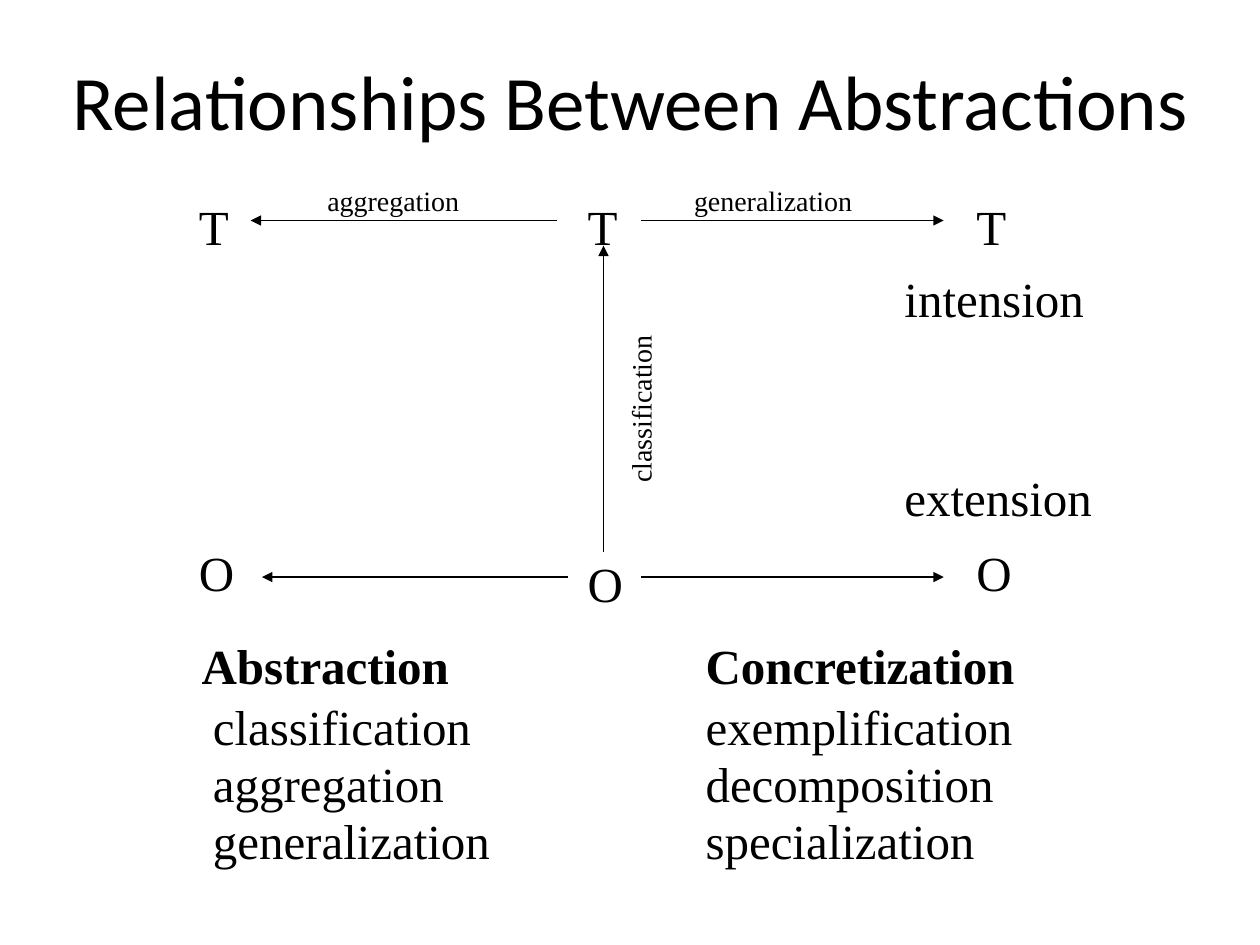
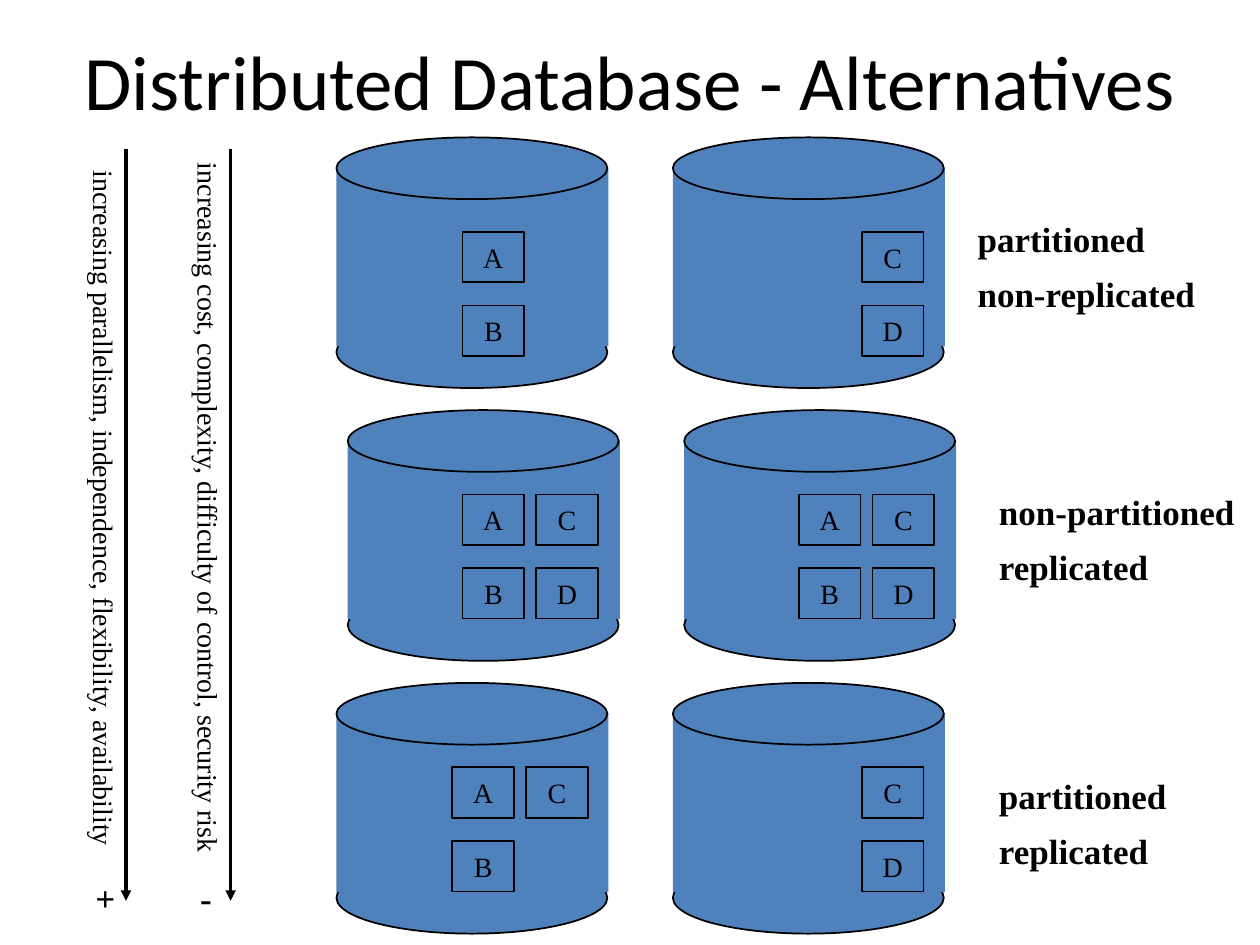
from dataclasses import dataclass
from lxml.etree import SubElement
from pptx import Presentation
from pptx.dml.color import RGBColor
from pptx.enum.shapes import MSO_CONNECTOR, MSO_SHAPE
from pptx.enum.text import MSO_ANCHOR, MSO_AUTO_SIZE, PP_ALIGN
from pptx.oxml.ns import qn
from pptx.util import Inches, Pt


@dataclass(frozen=True)
class Theme:
    ink: RGBColor = RGBColor(0, 0, 0)
    blue: RGBColor = RGBColor(0x4F, 0x81, 0xBD)
    head: str = "Calibri"
    text: str = "Times New Roman"
    title: int = 44
    large: int = 28
    mid: int = 20
    small: int = 16


LOOK = Theme()


def span(*sizes):
    return [Inches(size) for size in sizes]


def place(shape, box):
    shape.left, shape.top, shape.width, shape.height = span(*box)


def write(para, words, size, bold=False, face=LOOK.text):
    run = para.add_run()
    run.text = words
    run.font.size = Pt(size)
    run.font.bold = bold
    run.font.name = face
    run.font.color.rgb = LOOK.ink


def title(slide, words, box):
    shape = slide.shapes.title
    place(shape, box)
    frame = shape.text_frame
    frame.auto_size = MSO_AUTO_SIZE.NONE
    frame.vertical_anchor = MSO_ANCHOR.MIDDLE
    para = frame.paragraphs[0]
    para.alignment = PP_ALIGN.CENTER
    write(para, words, LOOK.title, face=LOOK.head)


def label(slide, words, box, size, bold=False, wrap=True, turn=0):
    shape = slide.shapes.add_textbox(*span(*box))
    shape.rotation = turn
    frame = shape.text_frame
    frame.word_wrap = wrap
    for i, line in enumerate(words.split("\n")):
        para = frame.add_paragraph() if i else frame.paragraphs[0]
        if "\n" in words:
            para.line_spacing = 0.8
        if i:
            para.space_before = Pt(12.5)
        write(para, line, size, bold)


def arrow(slide, start, end, width=1):
    link = slide.shapes.add_connector(MSO_CONNECTOR.STRAIGHT, *span(*start, *end))
    link.line.color.rgb = LOOK.ink
    link.line.width = Pt(width)
    props = link.element.spPr
    SubElement(props.find(qn("a:ln")), qn("a:tailEnd"), type="triangle")
    SubElement(props, qn("a:effectLst"))


def solid(slide, kind, box, edge=True):
    shape = slide.shapes.add_shape(kind, *span(*box))
    shape.shadow.inherit = False
    shape.fill.solid()
    shape.fill.fore_color.rgb = LOOK.blue
    if edge:
        shape.line.color.rgb = LOOK.ink
        shape.line.width = Pt(1)
    else:
        shape.line.fill.background()
    return shape


def graph(slide, x, y):
    for col in range(3):
        left = x + 3.085 * col
        label(slide, "T", (left, y + 0.1, 0.44, 0.56), LOOK.large, wrap=False)
        drop = 2.93 if col == 1 else 2.85
        label(slide, "O", (left, y + drop, 0.48, 0.56), LOOK.large, wrap=False)
    for x1, y1, x2, y2 in (
        (2.94, 0.34, 0.51, 0.34),
        (3.61, 0.34, 6.01, 0.34),
        (3.03, 3.17, 0.6, 3.17),
        (3.61, 3.17, 6.01, 3.17),
        (3.31, 2.97, 3.31, 0.54),
    ):
        arrow(slide, (x + x1, y + y1), (x + x2, y + y2))
    for words, left, top, width, turn in (
        ("aggregation", 1.02, 0, 1.43, 0),
        ("generalization", 3.93, 0, 1.68, 0),
        ("classification", 2.77, 1.51, 1.66, 270),
    ):
        label(slide, words, (x + left, y + top, width, 0.36), LOOK.small, turn=turn)
    for words, top in (("intension", 0.67), ("extension", 2.25)):
        label(slide, words, (x + 5.6, y + top, 2.18, 0.56), LOOK.large)


def column(shape, lines, box, inset):
    place(shape, box)
    frame = shape.text_frame
    frame.auto_size = MSO_AUTO_SIZE.NONE
    for i, line in enumerate(lines):
        para = frame.add_paragraph() if i else frame.paragraphs[0]
        props = para._p.get_or_add_pPr()
        props.set("marL", str(Inches(inset if i else 0)))
        props.set("indent", "0")
        SubElement(props, qn("a:buNone"))
        para.space_before = Pt(17.5 if i else 0)
        para.line_spacing = 0.45 if i else 1.0
        write(para, line, LOOK.large, bold=not i)


def cell(slide, words, box):
    frame = solid(slide, MSO_SHAPE.RECTANGLE, box).text_frame
    frame.word_wrap = False
    frame.vertical_anchor = MSO_ANCHOR.MIDDLE
    para = frame.paragraphs[0]
    para.alignment = PP_ALIGN.CENTER
    write(para, words, LOOK.small)


def drum(slide, x, y, stacks, left, top):
    solid(slide, MSO_SHAPE.OVAL, (x, y + 1.42, 2.15, 0.57))
    solid(slide, MSO_SHAPE.RECTANGLE, (x, y + 0.24, 2.16, 1.42), edge=False)
    solid(slide, MSO_SHAPE.OVAL, (x, y, 2.15, 0.49))
    for col, stack in enumerate(stacks):
        for row, part in enumerate(stack):
            spot = (x + left + 0.585 * col, y + top + 0.585 * row, 0.49, 0.4)
            cell(slide, part, spot)


def track(slide, x, y, words, length, sign):
    arrow(slide, (x, y), (x, y + 5.97), 2)
    label(slide, sign, (x - 0.34, y + 5.73, 0.34, 0.43), LOOK.mid, bold=True)
    box = (x - 0.17 - length / 2, y + 2.71, length, 0.36)
    label(slide, words, box, LOOK.small, turn=90)


def links(deck):
    slide = deck.slides.add_slide(deck.slide_layouts[3])
    title(slide, "Relationships Between Abstractions", (0.42, 0.33, 9.17, 0.92))
    graph(slide, 1.48, 1.41)
    left, right = slide.placeholders[1], slide.placeholders[2]
    column(left, ("Abstraction", "classification", "aggregation", "generalization"),
           (1.5, 4.99, 3.5, 1.92), 0.09)
    column(right, ("Concretization", "exemplification", "decomposition", "specialization"),
           (5.5, 4.99, 3.5, 1.92), 0)


def stores(deck):
    slide = deck.slides.add_slide(deck.slide_layouts[5])
    title(slide, "Distributed Database - Alternatives", (0.25, 0.17, 9.5, 0.92))
    rows = (
        (2.67, 0.75, (("AB",), 1.0), (("CD",), 1.5),
         "partitioned\nnon-replicated", 7.66, 0.65),
        (2.76, 0.67, (("AB", "CD"), 0.91), (("AB", "CD"), 0.91),
         "non-partitioned\nreplicated", 7.83, 0.65),
        (2.67, 0.67, (("AB", "C"), 0.92), (("CD",), 1.5),
         "partitioned\nreplicated", 7.83, 0.74),
    )
    for i, (x, top, first, second, words, left, drop) in enumerate(rows):
        y = 1.09 + 2.165 * i
        for col, (stacks, inset) in enumerate((first, second)):
            drum(slide, x + 2.67 * col, y, stacks, inset, top)
        label(slide, words, (left, y + drop, 2.09, 0.8), LOOK.mid, bold=True)
    track(slide, 1.0, 1.18,
          "increasing parallelism, independence, flexibility, availability", 5.63, "+")
    track(slide, 1.83, 1.18,
          "increasing cost, complexity, difficulty of control, security risk", 5.75, "-")


def main():
    deck = Presentation()
    deck.slide_width, deck.slide_height = span(10, 7.5)
    links(deck)
    stores(deck)
    deck.save("out.pptx")


if __name__ == "__main__":
    main()
